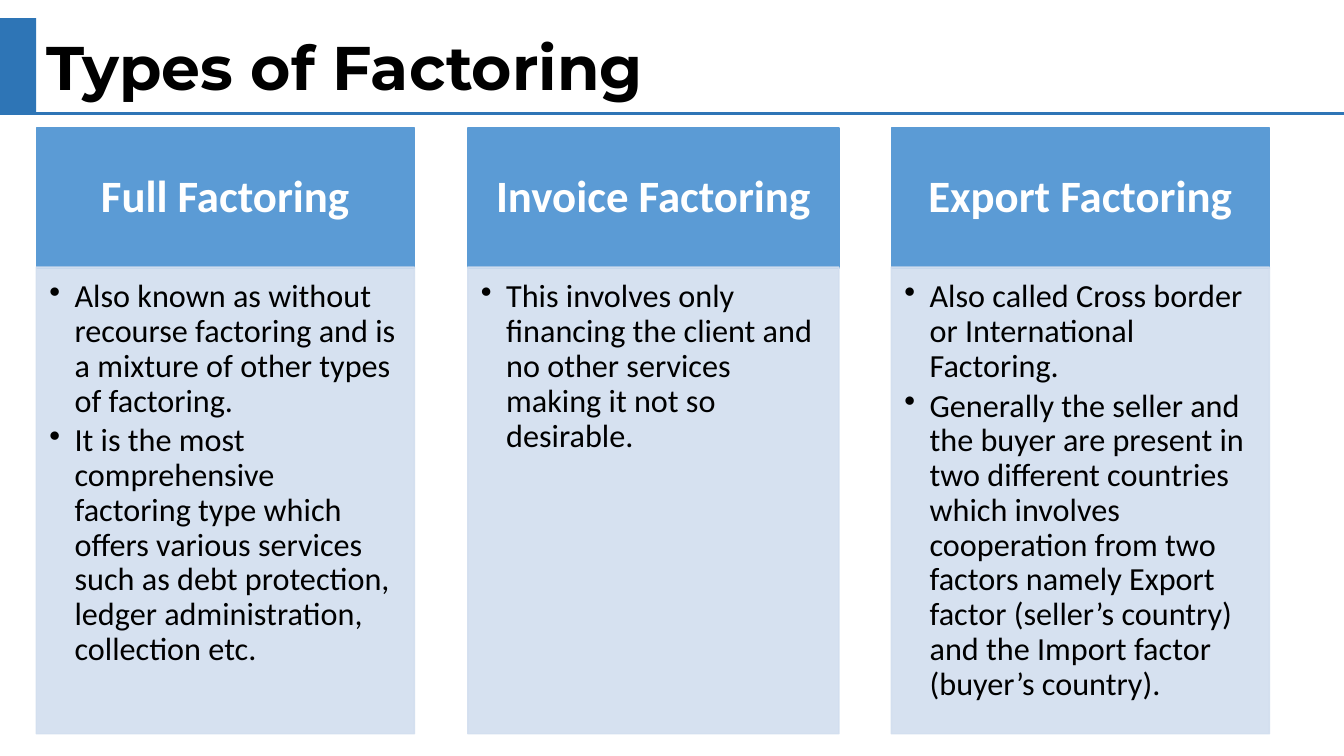
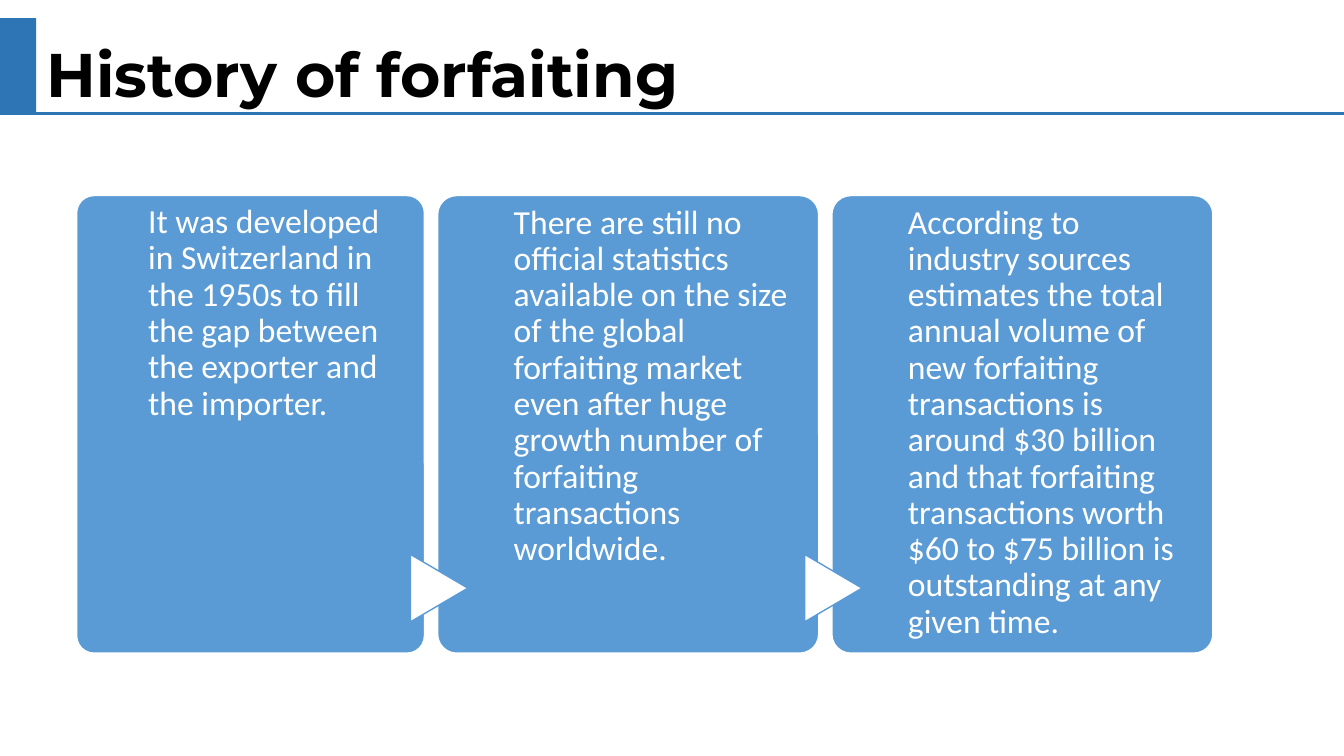
from pptx import Presentation
from pptx.dml.color import RGBColor
from pptx.enum.shapes import MSO_CONNECTOR, MSO_SHAPE
from pptx.enum.text import MSO_ANCHOR, MSO_AUTO_SIZE, PP_ALIGN
from pptx.oxml.ns import qn
from pptx.util import Inches, Pt
from lxml.etree import SubElement

HUES = {
    "band": "2E75B6",
    "blue": "5B9BD5",
    "pale": "D2DEEF",
    "white": "FFFFFF",
    "black": "000000",
}

TYPES = [
    (0.36, 3.75, "Full Factoring", [
        "Also known as without recourse factoring and is a mixture of other types of factoring.",
        "It is the most comprehensive factoring type which offers various services such as "
        "debt protection, ledger administration, collection etc.",
    ]),
    (4.64, 3.68, "Invoice Factoring", [
        "This involves only financing the client and no other services making it not so desirable.",
    ]),
    (8.84, 3.75, "Export Factoring", [
        "Also called Cross border or International Factoring.",
        "Generally the seller and the buyer are present in two different countries which involves "
        "cooperation from two factors namely Export factor (seller’s country) and the Import "
        "factor (buyer’s country).",
    ]),
]

STEPS = [
    (0.76, 3.45, (0.66, 0.04, 0.12, 0),
     "It\u00a0was developed in Switzerland in the 1950s to fill the gap between "
     "the exporter\u00a0and the importer."),
    (4.34, 3.78, (0.7, 0.04, 0.15, 0),
     "There are still no official statistics available on the size of the global "
     "forfaiting\u00a0market even after huge growth\u00a0number of forfaiting "
     "transactions worldwide."),
    (8.25, 3.78, (0.7, 0.04, 0.15, 0),
     "According to industry sources estimates the total annual volume of "
     "new\u00a0forfaiting transactions is around $30 billion and that forfaiting "
     "transactions\u00a0worth $60 to $75 billion is outstanding at any given time."),
]


def hue(name):
    return RGBColor.from_string(HUES[name])


def write(shape, lines, size=24, font="Calibri", color="white", bold=False,
          align=PP_ALIGN.LEFT, anchor=MSO_ANCHOR.TOP, pads=(0.1, 0.05, 0.1, 0.05),
          space=0.9, after=0, bullet=False):
    frame = shape.text_frame
    frame.word_wrap = True
    frame.vertical_anchor = anchor
    (frame.margin_left, frame.margin_top,
     frame.margin_right, frame.margin_bottom) = map(Inches, pads)
    for i, line in enumerate(lines):
        para = frame.add_paragraph() if i else frame.paragraphs[0]
        para.alignment = align
        para.line_spacing = space
        para.space_after = Pt(after)
        if bullet:
            props = para._p.get_or_add_pPr()
            props.set("marL", str(Inches(0.25)))
            props.set("indent", str(Inches(-0.25)))
            SubElement(props, qn("a:buChar"), char="•")
        run = para.add_run()
        run.text = line
        run.font.size = Pt(size)
        run.font.name = font
        run.font.bold = bold
        run.font.color.rgb = hue(color)


def block(slide, kind, box, fill, edge=None, alpha=None):
    shape = slide.shapes.add_shape(kind, *map(Inches, box))
    shape.shadow.inherit = False
    shape.fill.solid()
    shape.fill.fore_color.rgb = hue(fill)
    if edge:
        shape.line.color.rgb = hue(edge)
        shape.line.width = Pt(1)
    else:
        shape.line.fill.background()
    if alpha:
        for tint in shape._element.spPr.iter(qn("a:srgbClr")):
            SubElement(tint, qn("a:alpha"), val=str(alpha * 1000))
    return shape


def rule(slide, top):
    line = slide.shapes.add_connector(
        MSO_CONNECTOR.STRAIGHT, 0, Inches(top), Inches(13.33), Inches(top))
    line.line.color.rgb = hue("band")
    line.line.width = Pt(2.25)
    SubElement(line._element.spPr, qn("a:effectLst"))


def start(deck, text, top, width):
    slide = deck.slides.add_slide(deck.slide_layouts[5])
    title = slide.shapes.title
    title.left, title.top, title.width, title.height = map(
        Inches, (0.36, top, width, 0.84))
    write(title, [text], size=44, font="Montserrat", color="black", bold=True,
          anchor=MSO_ANCHOR.MIDDLE, space=1.0)
    title.text_frame.auto_size = MSO_AUTO_SIZE.SHAPE_TO_FIT_TEXT
    block(slide, MSO_SHAPE.RECTANGLE, (0, 0.18, 0.36, 0.94), "band")
    rule(slide, 1.13)
    return slide


def column(slide, left, width, head, points):
    top = block(slide, MSO_SHAPE.RECTANGLE, (left, 1.27, width, 1.39), "blue", "blue")
    write(top, [head], size=32, bold=True, align=PP_ALIGN.CENTER,
          anchor=MSO_ANCHOR.MIDDLE, pads=(0.25, 0.14, 0.25, 0.14))
    body = block(slide, MSO_SHAPE.RECTANGLE, (left, 2.65, width, 4.63),
                 "pale", "pale", alpha=90)
    write(body, points, size=23, color="black", pads=(0.13, 0.13, 0.18, 0.2),
          after=3.45, bullet=True)


def card(slide, left, width, pads, text):
    shape = block(slide, MSO_SHAPE.ROUNDED_RECTANGLE, (left, 1.94, width, 4.54),
                  "blue", "white")
    shape.adjustments[0] = 0.05
    write(shape, [text], pads=pads)


def arrow(slide, left):
    shape = block(slide, MSO_SHAPE.FLOWCHART_EXTRACT, (left, 5.55, 0.67, 0.57),
                  "white", "blue")
    shape.rotation = 90


def main():
    deck = Presentation()
    deck.slide_width, deck.slide_height = Inches(13.33), Inches(7.5)

    types = start(deck, "Types of Factoring", 0.23, 11.05)
    for item in TYPES:
        column(types, *item)

    story = start(deck, "History of forfaiting", 0.3, 12.97)
    for i, step in enumerate(STEPS):
        card(story, *step)
        if i:
            arrow(story, step[0] - 0.32)

    deck.save("out.pptx")


main()
